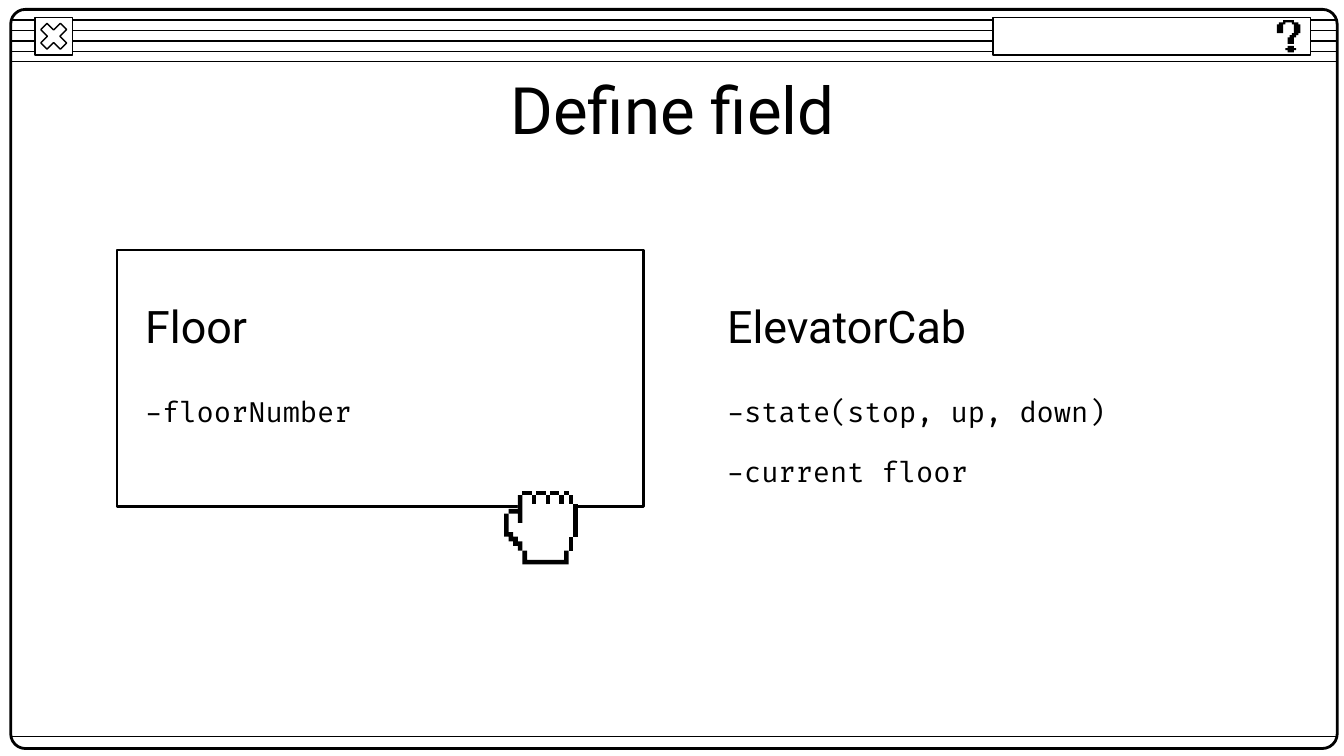
from pptx import Presentation
from pptx import util as u
from pptx.dml.color import RGBColor
from pptx.enum import shapes, text
from pptx.oxml.ns import qn
from lxml import etree

BLACK, WHITE = "000000", "FFFFFF"
HEADING_FONT, CODE_FONT = "Roboto", "Fira Code"

HOOK = [(3, 0), (3, 1), (1, 1), (1, 2), (0, 2), (0, 6), (3, 6), (3, 2),
        (4, 2), (4, 1), (7, 1), (7, 2), (8, 2), (8, 6), (7, 6), (7, 7),
        (6, 7), (6, 8), (5, 8), (5, 11), (8, 11), (8, 8), (9, 8), (9, 7),
        (10, 7), (10, 6), (11, 6), (11, 2), (10, 2), (10, 1), (8, 1), (8, 0)]
DOT = [(5, 12), (5, 13), (4, 13), (4, 14), (5, 14), (5, 15),
       (8, 15), (8, 14), (9, 14), (9, 13), (8, 13), (8, 12)]
PALM = [(4, 0), (4, 1), (3, 1), (3, 4), (1, 4), (1, 5), (0, 5), (0, 10),
        (1, 10), (1, 11), (2, 11), (2, 12), (3, 12), (3, 13), (4, 13), (4, 16),
        (14, 16), (14, 13), (15, 13), (15, 10), (16, 10), (16, 3), (15, 3),
        (15, 1), (14, 1), (14, 0), (13, 0), (13, 1), (12, 1), (12, 0), (10, 0),
        (10, 1), (9, 1), (9, 0), (7, 0), (7, 1), (6, 1), (6, 0)]
WRIST = [(4, 13), (4, 16), (14, 16), (14, 13), (13, 13), (13, 15), (5, 15), (5, 13)]
INDEX_SIDE = [(3, 1), (3, 4), (1, 4), (1, 5), (3, 5), (3, 7), (4, 7), (4, 1)]
THUMB = [(0, 5), (0, 10), (1, 10), (1, 11), (2, 11), (2, 12), (3, 12), (3, 13),
         (4, 13), (4, 11), (3, 11), (3, 10), (2, 10), (2, 9), (1, 9), (1, 5)]
KNUCKLES = [(4, 0, 2, 1), (7, 0, 2, 1), (10, 0, 2, 1), (13, 0, 1, 1)]
FINGER_GAPS = [(column, 1, 1, 2) for column in (6, 9, 12, 14)]
HAND_EDGE = [(15, 3, 1, 7), (14, 10, 1, 3)]


def color(value):
    """Turn a hex string into a colour."""
    return RGBColor.from_string(value)


def add_box(page, kind, box, fill=None, width=0.75):
    """Add a black-outlined preset shape, filled or hollow."""
    shape = page.shapes.add_shape(kind, *map(u.Inches, box))
    shape.shadow.inherit = False
    if fill:
        shape.fill.solid()
        shape.fill.fore_color.rgb = color(fill)
    else:
        shape.fill.background()
    shape.line.color.rgb = color(BLACK)
    shape.line.width = u.Pt(width)
    return shape


def add_rule(page, left, right, top):
    """Draw a thin horizontal line."""
    rule = page.shapes.add_connector(
        shapes.MSO_CONNECTOR.STRAIGHT, *map(u.Inches, (left, top, right, top)))
    rule.line.color.rgb = color(BLACK)
    rule.line.width = u.Pt(0.75)
    etree.SubElement(rule._element.spPr, qn("a:effectLst"))


def add_pixels(page, points, left, top, cell, fill):
    """Draw a closed outline whose points lie on a grid of square cells."""
    builder = page.shapes.build_freeform(*points[0], scale=u.Inches(cell))
    builder.add_line_segments(points[1:], close=True)
    shape = builder.convert_to_shape(u.Inches(left), u.Inches(top))
    shape.shadow.inherit = False
    shape.fill.solid()
    shape.fill.fore_color.rgb = color(fill)
    shape.line.fill.background()


def block(column, row, width, height):
    """Return the corners of a rectangular run of cells."""
    right, bottom = column + width, row + height
    return [(column, row), (column, bottom), (right, bottom), (right, row)]


def write(holder, box, words, font, size, align=text.PP_ALIGN.LEFT):
    """Place a text holder and fill it with one plain paragraph."""
    holder.left, holder.top, holder.width, holder.height = map(u.Inches, box)
    frame = holder.text_frame
    frame.text = words
    frame.word_wrap = True
    frame.auto_size = text.MSO_AUTO_SIZE.NONE
    frame.vertical_anchor = text.MSO_ANCHOR.MIDDLE
    frame.margin_left = frame.margin_right = u.Inches(0.1)
    frame.margin_top = frame.margin_bottom = u.Inches(0.1)
    para = frame.paragraphs[0]
    para.alignment = align
    para.space_before = u.Pt(0)
    properties = para._p.get_or_add_pPr()
    properties.set("marL", "0")
    properties.set("indent", "0")
    etree.SubElement(properties, qn("a:buNone"))
    span = para.runs[0]
    span.font.name = font
    span.font.size = u.Pt(size)
    span.font.bold = False
    span.font.color.rgb = color(BLACK)


def add_window(page, box):
    """Draw the window frame with its striped title bar and controls."""
    left, top, width, height = box
    right = left + width
    for stripe in range(5):
        add_rule(page, left, right, top + 0.08 + stripe * 0.31 / 4)
    frame = add_box(page, shapes.MSO_SHAPE.ROUNDED_RECTANGLE, box, width=1.5)
    frame.adjustments[0] = 0.02
    add_rule(page, left, right, top + height - 0.09)

    control_top = top + 0.06
    close_box = (left + 0.18, control_top, 0.28, 0.28)
    add_box(page, shapes.MSO_SHAPE.RECTANGLE, close_box, WHITE)
    cross = add_box(page, shapes.MSO_SHAPE.MATH_MULTIPLY, close_box, WHITE)
    cross.adjustments[0] = 0.235
    add_box(page, shapes.MSO_SHAPE.RECTANGLE,
            (right - 2.56, control_top, 2.36, 0.28), WHITE)
    for points in (HOOK, DOT):
        add_pixels(page, points, right - 0.45, top + 0.08, 0.24 / 15, BLACK)


def add_hand(page, left, top, size):
    """Draw the grabbing-hand cursor on a 16 by 16 grid."""
    cell = size / 16
    add_pixels(page, PALM, left, top, cell, WHITE)
    strokes = [block(*run) for run in KNUCKLES + FINGER_GAPS + HAND_EDGE]
    for points in strokes + [WRIST, INDEX_SIDE, THUMB]:
        add_pixels(page, points, left, top, cell, BLACK)


def add_class(page, box, heading, body, name, field):
    """Fill one column with a class name and its first field."""
    left, top, width = box
    write(heading, (left, top, width, 0.49), name, HEADING_FONT, 24)
    write(body, (left, top + 0.49, width, 0.78), field, CODE_FONT, 15)


def main():
    """Build the slide and save it."""
    deck = Presentation()
    deck.slide_width, deck.slide_height = u.Inches(10), u.Inches(10 * 9 / 16)
    page = deck.slides.add_slide(deck.slide_layouts.get_by_name("Comparison"))
    title, *holders = list(page.placeholders)[:5]
    for extra in list(page.placeholders)[5:]:
        extra._element.getparent().remove(extra._element)

    add_window(page, (0.08, 0.07, 9.87, 5.5))
    write(title, (0.79, 0.49, 8.43, 0.63), "Define field",
          HEADING_FONT, 35, text.PP_ALIGN.CENTER)
    add_box(page, shapes.MSO_SHAPE.RECTANGLE, (0.87, 1.86, 3.92, 1.91), width=1.5)
    add_class(page, (0.98, 2.18, 3.71), *holders[:2], "Floor", "-floorNumber")
    add_class(page, (5.31, 2.18, 3.71), *holders[2:],
              "ElevatorCab", "-state(stop, up, down)")
    add_hand(page, 3.75, 3.65, 0.55)
    second_field = page.shapes.add_textbox(0, 0, 0, 0)
    write(second_field, (5.31, 3.12, 3.71, 0.78), "-current floor", CODE_FONT, 15)
    deck.save("out.pptx")


if __name__ == "__main__":
    main()
